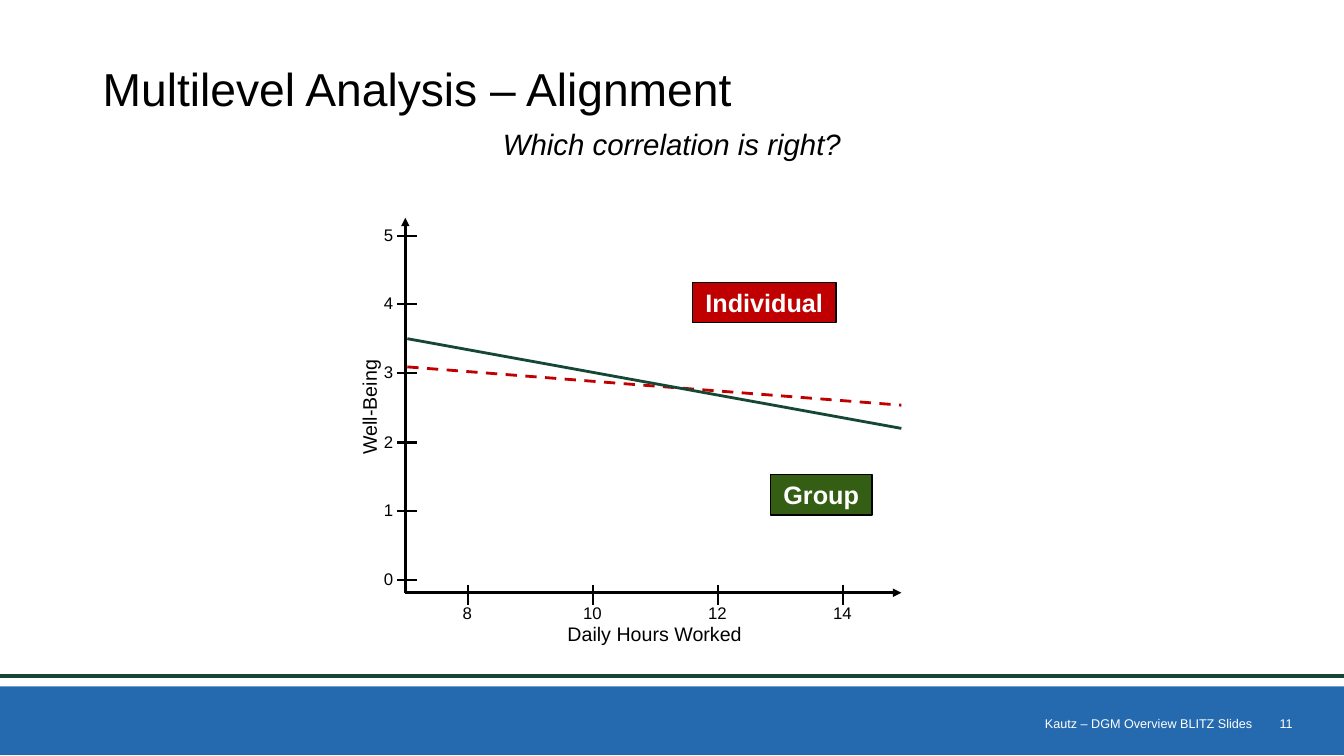
from lxml.etree import SubElement
from pptx import Presentation
from pptx.dml.color import RGBColor
from pptx.enum.dml import MSO_LINE
from pptx.enum.shapes import MSO_CONNECTOR, MSO_SHAPE
from pptx.enum.text import MSO_ANCHOR, PP_ALIGN
from pptx.oxml.ns import qn
from pptx.util import Emu, Pt

BLACK, WHITE, RED = "000000", "FFFFFF", "C00000"
PINE, MOSS, BLUE = "154734", "345E14", "256AAF"
LEFT, MID, RIGHT = PP_ALIGN.LEFT, PP_ALIGN.CENTER, PP_ALIGN.RIGHT


def px(n):
    """One px is a hundredth of an inch."""
    return Emu(n * 9144)


def color(text):
    return RGBColor.from_string(text)


class Canvas:
    font = "Arial"

    def __init__(self, deck):
        self.slide = deck.slides.add_slide(deck.slide_layouts[6])
        self.shapes = self.slide.shapes

    def label(self, shape, text, size, ink=BLACK, align=LEFT, bold=False,
              italic=False, wrap=True, anchor=MSO_ANCHOR.TOP):
        frame = shape.text_frame
        frame.word_wrap = wrap
        frame.vertical_anchor = anchor
        para = frame.paragraphs[0]
        para.alignment = align
        run = para.add_run()
        run.text = text
        font = run.font
        font.name, font.size = self.font, Pt(size)
        font.bold, font.italic = bold, italic
        font.color.rgb = color(ink)
        return shape

    def text(self, box, text, size, **style):
        shape = self.shapes.add_textbox(*map(px, box))
        return self.label(shape, text, size, **style)

    def rect(self, box, fill, edge=None):
        shape = self.shapes.add_shape(MSO_SHAPE.RECTANGLE, *map(px, box))
        shape.shadow.inherit = False
        shape.fill.solid()
        shape.fill.fore_color.rgb = color(fill)
        if edge:
            shape.line.color.rgb = color(edge)
            shape.line.width = Pt(1)
        else:
            shape.line.fill.background()
        return shape

    def tag(self, box, text, fill):
        shape = self.rect(box, fill, BLACK)
        self.label(shape, text, 18, ink=WHITE, align=MID, bold=True, wrap=False)

    def line(self, ends, ink=BLACK, width=2.0, dash=False, arrow=False):
        line = self.shapes.add_connector(MSO_CONNECTOR.STRAIGHT, *map(px, ends))
        line.line.color.rgb = color(ink)
        line.line.width = Pt(width)
        if dash:
            line.line.dash_style = MSO_LINE.DASH
        props = line._element.spPr
        if arrow:
            SubElement(props.find(qn("a:ln")), qn("a:tailEnd"), type="triangle")
        SubElement(props, qn("a:effectLst"))


def main():
    deck = Presentation()
    deck.slide_width, deck.slide_height = px(1333), px(750)
    page = Canvas(deck)

    # Footer band and rule
    page.rect((0, 681, 1333, 68), BLUE)
    page.line((0, 671, 1333, 671), PINE, 3)

    # Headings
    title = page.text((92, 27, 1150, 127), "Multilevel Analysis – Alignment", 33,
                      anchor=MSO_ANCHOR.MIDDLE)
    title.text_frame.paragraphs[0].line_spacing = 0.9
    page.text((161, 120, 1011, 45), "Which correlation is right?", 21,
              align=MID, italic=True)

    # Axes
    left, base = 402, 588
    page.line((left, base, left, 216), arrow=True)
    page.line((left, base, 894, base), arrow=True)

    # Hours scale
    for i, hour in enumerate(range(8, 15, 2)):
        x = 464 + 124 * i
        page.line((x, 580, x, 600), width=1.5)
        page.text((x - 20, 593, 39, 30), str(hour), 12, align=MID, wrap=False)
    page.text((553, 612, 197, 34), "Daily Hours Worked", 14)

    # Well-being scale
    for score in range(6):
        y = round(575 - 68.2 * score)
        page.line((394, y, 414, y), width=1.5)
        page.text((371, y - 16, 27, 30), str(score), 12, wrap=False)
    name = page.text((268, 387, 197, 34), "Well-Being", 14, align=MID)
    name.rotation = 270

    # Trends and their tags
    page.line((404, 364, 894, 402), RED, dash=True)
    page.tag((687, 280, 142, 40), "Individual", RED)
    page.line((404, 336, 894, 425), PINE)
    page.tag((764, 471, 101, 40), "Group", MOSS)

    # Footer text
    foot = dict(ink=WHITE, align=RIGHT, anchor=MSO_ANCHOR.MIDDLE)
    page.text((1242, 707, 50, 21), "11", 9, **foot)
    credit = page.text((442, 707, 800, 21),
                       "Kautz – DGM Overview BLITZ Slides", 9, **foot)
    credit.text_frame.margin_right = 0

    deck.save("out.pptx")


if __name__ == "__main__":
    main()
